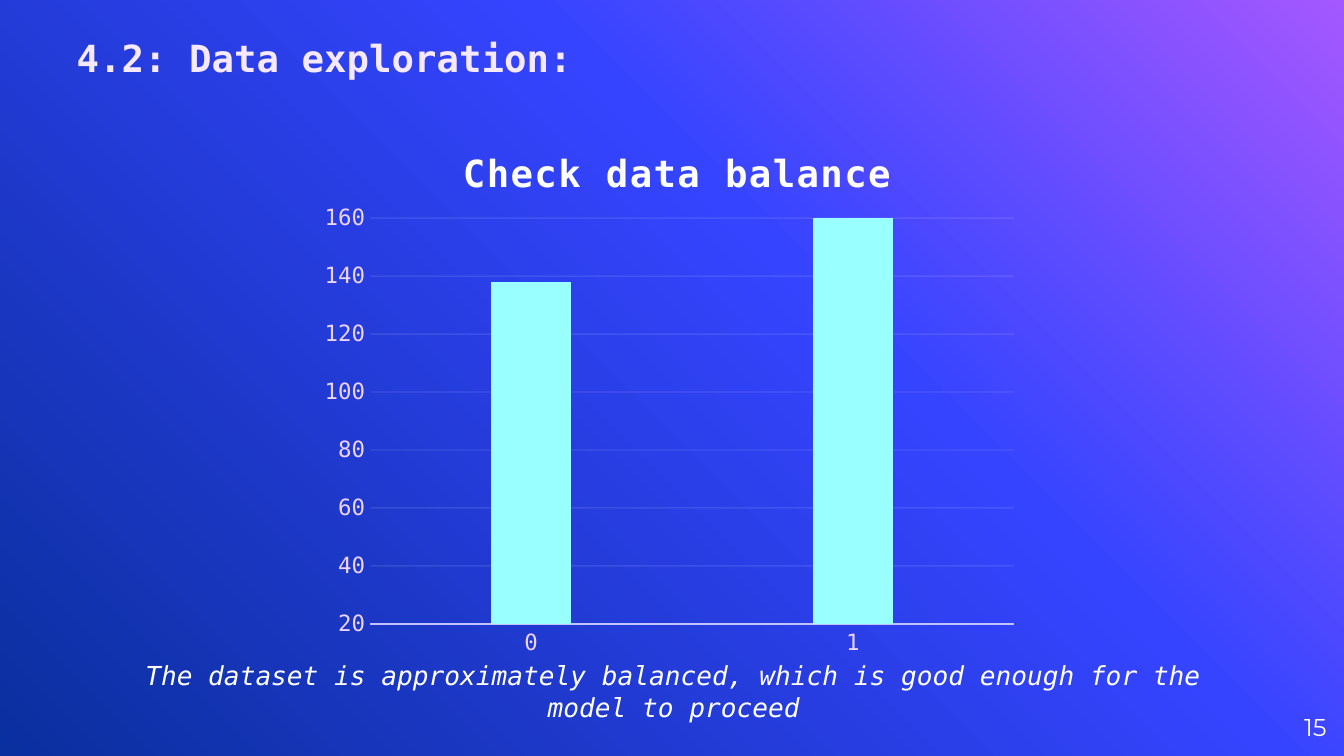
from copy import deepcopy
from dataclasses import dataclass

from lxml import etree
from pptx import Presentation
from pptx.chart import data
from pptx.dml import color
from pptx.enum import chart as kinds, text
from pptx.oxml import ns
from pptx.util import Pt


@dataclass(frozen=True)
class Theme:
    mono: str = "DejaVu Sans Mono"
    sans: str = "Montserrat"
    white: str = "FFFFFF"
    heading: str = "F6E9FF"
    label: str = "EDD3FF"
    bar: str = "99FFFF"
    axis: str = "C4C1FF"
    grid: str = "D8D6FF"
    backdrop: tuple = ((0, "A458FF"), (39, "3544FF"), (100, "0A2F9E"))
    title_size: int = 20
    caption_size: int = 14
    number_size: int = 13
    label_size: int = 12


THEME = Theme()


def style_font(font, size, tint, name=THEME.mono, bold=False, italic=False):
    font.name, font.size = name, Pt(size)
    font.bold, font.italic = bold, italic
    font.color.rgb = color.RGBColor.from_string(tint)


def style_line(line, tint):
    line.color.rgb = color.RGBColor.from_string(tint)
    line.width = Pt(0.75)


def add_xml(parent, tag, **attributes):
    return etree.SubElement(parent, ns.qn(tag), attributes)


def paint_backdrop(page):
    fill = page.background.fill
    fill.gradient()
    fill.gradient_angle = 225
    stops = fill.gradient_stops
    first = stops[0]
    stop_list = first._gs.getparent()
    stop_list.insert(1, deepcopy(first._gs))
    for stop, (percent, tint) in zip(fill.gradient_stops, THEME.backdrop):
        stop.position = percent / 100
        stop.color.rgb = color.RGBColor.from_string(tint)


def place_heading(page, box, words):
    title = page.shapes.title
    title.left, title.top, title.width, title.height = map(Pt, box)
    write(title, words, text.PP_ALIGN.LEFT, inset=0)
    style_font(title.text_frame.paragraphs[0].font, THEME.title_size,
               THEME.heading, bold=True)


def write(shape, words, align, inset=None, anchor=text.MSO_ANCHOR.MIDDLE):
    frame = shape.text_frame
    frame.word_wrap = True
    frame.auto_size = text.MSO_AUTO_SIZE.NONE
    frame.vertical_anchor = anchor
    if inset is not None:
        frame.margin_left = frame.margin_right = Pt(inset)
        frame.margin_top = frame.margin_bottom = Pt(inset)
    frame.text = words
    frame.paragraphs[0].alignment = align


def place_caption(page, box, words):
    caption = page.shapes.add_textbox(*map(Pt, box))
    write(caption, words, text.PP_ALIGN.CENTER, anchor=text.MSO_ANCHOR.TOP)
    style_font(caption.text_frame.paragraphs[0].font, THEME.caption_size,
               THEME.white, italic=True)


def place_page_number(page, box, number):
    label = page.shapes.add_textbox(*map(Pt, box))
    write(label, str(number), text.PP_ALIGN.RIGHT, inset=0)
    style_font(label.text_frame.paragraphs[0].font, THEME.number_size,
               THEME.white, THEME.sans)


def set_layout(owner, **fractions):
    """Fix a chart part's place as fractions of the chart area."""
    layout = owner.find(ns.qn("c:layout"))
    if layout is None:
        layout = etree.Element(ns.qn("c:layout"))
        text_part = owner.find(ns.qn("c:tx"))
        if text_part is None:
            owner.insert(0, layout)
        else:
            text_part.addnext(layout)
    manual = add_xml(layout, "c:manualLayout")
    if "w" in fractions:
        add_xml(manual, "c:layoutTarget", val="inner")
    for mode in ("xMode", "yMode"):
        add_xml(manual, f"c:{mode}", val="edge")
    for side, fraction in fractions.items():
        add_xml(manual, f"c:{side}", val=str(fraction))


def place_balance_chart(page, box):
    counts = data.CategoryChartData()
    counts.categories = ["0", "1"]
    counts.add_series("Series 1", (138, 165))
    chart = page.shapes.add_chart(
        kinds.XL_CHART_TYPE.COLUMN_CLUSTERED, *map(Pt, box), counts).chart
    chart.has_legend = False
    style_font(chart.font, THEME.label_size, THEME.label)

    chart.has_title = True
    title = chart.chart_title
    title.include_in_layout = False
    para = title.text_frame.paragraphs[0]
    span = para.add_run()
    span.text = "Check data balance"
    style_font(span.font, THEME.title_size, THEME.white, bold=True)
    span.font._element.set("spc", "60")
    set_layout(title._element, x=0.2, y=0.04)

    plot = chart.plots[0]
    plot.gap_width, plot.overlap = 304, -78
    plot.vary_by_categories = False
    bars = plot.series[0].format.fill
    bars.solid()
    bars.fore_color.rgb = color.RGBColor.from_string(THEME.bar)
    set_layout(plot._element.getparent(), x=0.08, y=0.18, w=0.9, h=0.74)

    for axis in (chart.category_axis, chart.value_axis):
        axis.major_tick_mark = axis.minor_tick_mark = kinds.XL_TICK_MARK.NONE
        style_font(axis.tick_labels.font, THEME.label_size, THEME.label)
    style_line(chart.category_axis.format.line, THEME.axis)

    values = chart.value_axis
    values.minimum_scale, values.maximum_scale = 20, 160
    values.major_unit = 20
    values.format.line.fill.background()
    values.has_major_gridlines = True
    grid = values.major_gridlines.format.line
    style_line(grid, THEME.grid)
    tint = values.major_gridlines._xAx.find(
        f"{ns.qn('c:majorGridlines')}//{ns.qn('a:srgbClr')}")
    add_xml(tint, "a:alpha", val="13000")


def main():
    deck = Presentation()
    deck.slide_width, deck.slide_height = Pt(720), Pt(405)
    page = deck.slides.add_slide(deck.slide_layouts[5])
    paint_backdrop(page)
    place_page_number(page, (667.5, 373.7, 43.2, 31), 15)
    place_balance_chart(page, (167.8, 64, 383, 293.8))
    place_caption(page, (65.5, 350, 591, 41),
                  "The dataset is approximately balanced, which is good "
                  "enough for the model to proceed")
    place_heading(page, (41, 18, 615.6, 26), "4.2: Data exploration:")
    deck.save("out.pptx")


if __name__ == "__main__":
    main()
